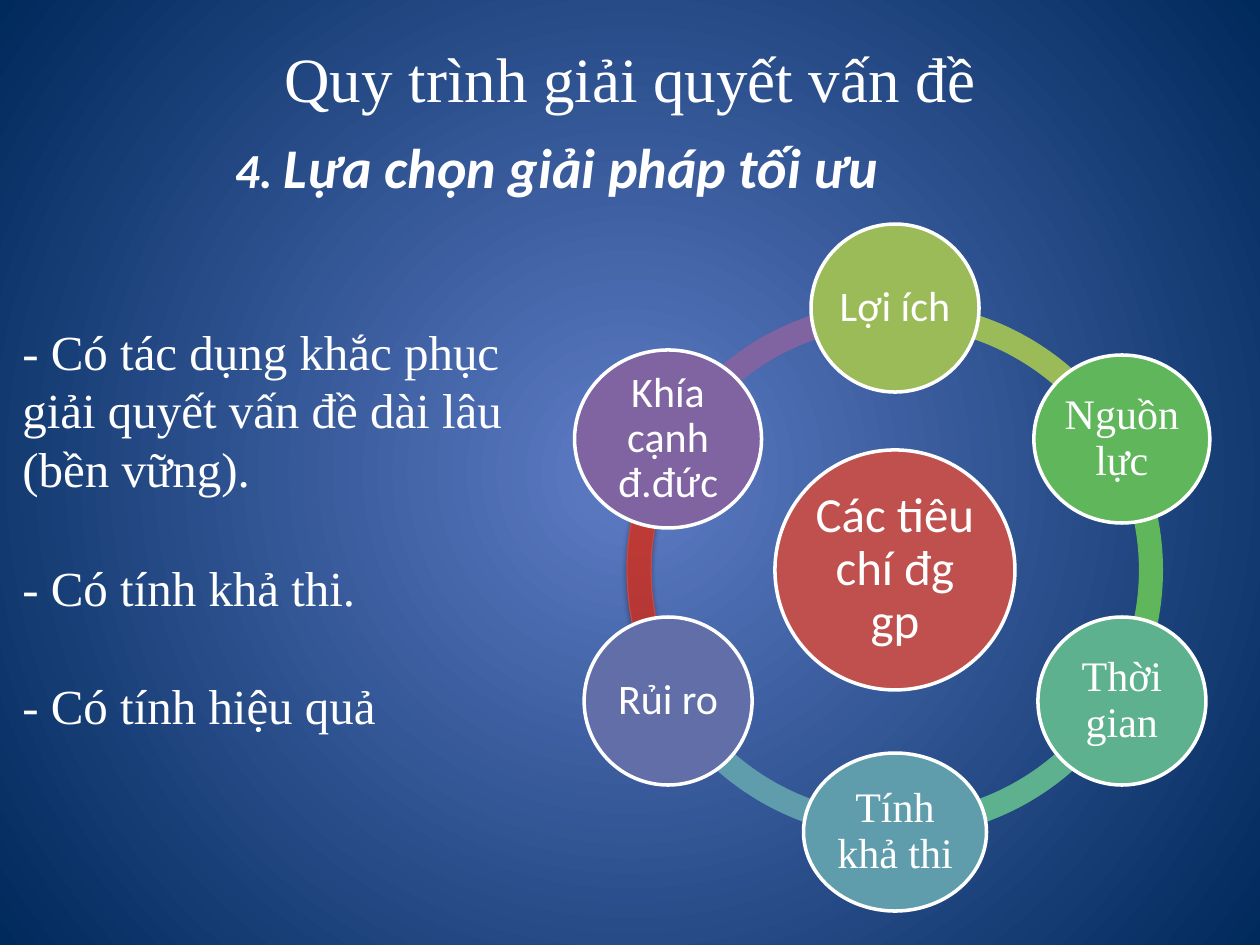
from dataclasses import dataclass
from math import cos, radians, sin
from typing import Any

from lxml import etree
from pptx import Presentation
from pptx.dml.color import RGBColor
from pptx.enum.shapes import MSO_SHAPE
from pptx.enum.text import MSO_ANCHOR, MSO_AUTO_SIZE, PP_ALIGN
from pptx.oxml import parse_xml
from pptx.oxml.ns import nsdecls, qn
from pptx.util import Pt

ARC, OVAL = MSO_SHAPE.BLOCK_ARC, MSO_SHAPE.OVAL
CENTER, MIDDLE = PP_ALIGN.CENTER, MSO_ANCHOR.MIDDLE
GROW = MSO_AUTO_SIZE.SHAPE_TO_FIT_TEXT
EMU_PER_PX = 914400 / 126
SERIF, SANS = "Times New Roman", "Calibri"


@dataclass(frozen=True)
class Theme:
    text: str = "FFFFFF"
    hub: str = "C0504D"
    red_edge: str = "BF4C48"
    red_stops: tuple = ((0, "9C2F2D"), (80, "CB3E3A"), (100, "CE3B37"))
    backdrop_stops: tuple = ((0, "5E7CC5"), (100, "00295C"))
    title: int = 36
    heading: int = 32
    large: int = 28
    node: int = 24


@dataclass(frozen=True)
class Criterion:
    label: str
    font: str
    color: str
    width: int
    height: int


THEME = Theme()
RING_X, RING_Y, RING_SIZE, ORBIT = 895, 570, 536, 262
HUB = Criterion("Các tiêu chí đg gp", SANS, THEME.hub, 240, 240)
CRITERIA = (
    Criterion("Lợi ích", SANS, "9BBB59", 168, 168),
    Criterion("Nguồn lực", SERIF, "5FB65B", 176, 168),
    Criterion("Thời gian", SERIF, "5DB18E", 168, 168),
    Criterion("Tính khả thi", SERIF, "5F9DAC", 183, 158),
    Criterion("Rủi ro", SANS, "626EA7", 168, 168),
    Criterion("Khía cạnh đ.đức", SANS, "8064A2", 187, 178),
)
STEP = 360 // len(CRITERIA)
RISK_INDEX = 4
QUALITIES = (
    "- Có tác dụng khắc phục giải quyết vấn đề dài lâu (bền vững).",
    "- Có tính khả thi.",
    "- Có tính hiệu quả",
)


def px(value: float) -> int:
    return round(value * EMU_PER_PX)


def apply(target: Any, values: dict[str, Any]) -> None:
    for name, value in values.items():
        setattr(target, name, value)


def place(shape: Any, left: int, top: int, width: int, height: int) -> None:
    apply(shape, dict(left=px(left), top=px(top), width=px(width), height=px(height)))


def write(paragraph: Any, text: str, font: str, size: int, **style: Any) -> None:
    run = paragraph.add_run()
    run.text = text
    apply(run.font, dict(name=font, size=Pt(size), **style))
    run.font.color.rgb = RGBColor.from_string(THEME.text)


def set_gradient(fill: Any, element: Any, stops: tuple, direction: str) -> None:
    fill.gradient()
    gradient = next(element.iter(qn("a:gradFill")))
    marks = "".join(
        f'<a:gs pos="{pos * 1000}"><a:srgbClr val="{color}"/></a:gs>' for pos, color in stops
    )
    fresh = parse_xml(
        f'<a:gradFill {nsdecls("a")} rotWithShape="1"><a:gsLst>{marks}</a:gsLst>{direction}</a:gradFill>'
    )
    gradient.getparent().replace(gradient, fresh)


def add_arc(slide: Any, start: int, color: str) -> Any:
    corner = (RING_X - RING_SIZE / 2, RING_Y - RING_SIZE / 2)
    arc = slide.shapes.add_shape(ARC, px(corner[0]), px(corner[1]), px(RING_SIZE), px(RING_SIZE))
    for index, value in enumerate((start % 360 * 0.6, (start + STEP) % 360 * 0.6, 0.045)):
        arc.adjustments[index] = value
    arc.shadow.inherit = False
    arc.fill.solid()
    arc.fill.fore_color.rgb = RGBColor.from_string(color)
    arc.line.fill.background()
    return arc


def emphasize_arc(arc: Any) -> None:
    set_gradient(arc.fill, arc.element, THEME.red_stops, '<a:lin ang="16200000" scaled="0"/>')
    arc.line.color.rgb = RGBColor.from_string(THEME.red_edge)
    arc.line.width = Pt(0.75)
    effects = next(arc.element.iter(qn("a:effectLst")))
    shadow = etree.SubElement(
        effects, qn("a:outerShdw"), blurRad=str(Pt(3.1)), dist=str(Pt(1.8)), dir="5400000", rotWithShape="0"
    )
    black = etree.SubElement(shadow, qn("a:srgbClr"), val="000000")
    etree.SubElement(black, qn("a:alpha"), val="35000")


def add_circle(slide: Any, item: Criterion, x: float, y: float, size: int, inset: int) -> None:
    circle = slide.shapes.add_shape(
        OVAL, px(x - item.width / 2), px(y - item.height / 2), px(item.width), px(item.height)
    )
    circle.shadow.inherit = False
    circle.fill.solid()
    circle.fill.fore_color.rgb = RGBColor.from_string(item.color)
    circle.line.color.rgb = RGBColor.from_string(THEME.text)
    circle.line.width = Pt(2)
    frame = circle.text_frame
    margins = {f"margin_{side}": px(inset) for side in ("left", "top", "right", "bottom")}
    apply(frame, dict(word_wrap=True, vertical_anchor=MIDDLE, **margins))
    apply(frame.paragraphs[0], dict(alignment=CENTER, line_spacing=0.9))
    write(frame.paragraphs[0], item.label, item.font, size)


def add_headings(slide: Any) -> None:
    title, body = slide.shapes.title, slide.placeholders[1]
    place(title, 63, 38, 1134, 78)
    title.text_frame.vertical_anchor = MIDDLE
    title_line = title.text_frame.paragraphs[0]
    title_line.alignment = CENTER
    write(title_line, "Quy trình giải quyết vấn đề", SERIF, THEME.title)
    place(body, 179, 126, 756, 798)
    heading = body.text_frame.paragraphs[0]
    heading.alignment = CENTER
    properties = heading._p.get_or_add_pPr()
    properties.set("marL", "0")
    properties.set("indent", "0")
    etree.SubElement(properties, qn("a:buNone"))
    write(heading, "4. ", SANS, THEME.large, bold=True, italic=True)
    write(heading, "Lựa chọn giải pháp tối ưu", SANS, THEME.heading, bold=True, italic=True)


def add_ring(slide: Any) -> None:
    for index, item in reversed(list(enumerate(CRITERIA))):
        arc = add_arc(slide, 270 + index * STEP, item.color)
        if index == RISK_INDEX:
            emphasize_arc(arc)
    add_circle(slide, HUB, RING_X, RING_Y, THEME.large, 5)
    for index, item in enumerate(CRITERIA):
        angle = radians(index * STEP - 90)
        add_circle(slide, item, RING_X + ORBIT * cos(angle), RING_Y + ORBIT * sin(angle), THEME.node, 4)


def add_qualities(slide: Any) -> None:
    frame = slide.shapes.add_textbox(px(10), px(315), px(557), px(428)).text_frame
    apply(frame, dict(word_wrap=True, auto_size=GROW))
    for index, quality in enumerate(QUALITIES):
        paragraph = frame.add_paragraph() if index else frame.paragraphs[0]
        paragraph.space_before = Pt(34 if index else 0)
        write(paragraph, quality, SERIF, THEME.large)


def main() -> None:
    deck = Presentation()
    apply(deck, dict(slide_width=px(1260), slide_height=px(945)))
    slide = deck.slides.add_slide(deck.slide_layouts[1])
    center = '<a:path path="circle"><a:fillToRect l="50000" t="50000" r="50000" b="50000"/></a:path>'
    set_gradient(slide.background.fill, slide.element, THEME.backdrop_stops, center)
    add_headings(slide)
    add_ring(slide)
    add_qualities(slide)
    deck.save("out.pptx")


if __name__ == "__main__":
    main()
